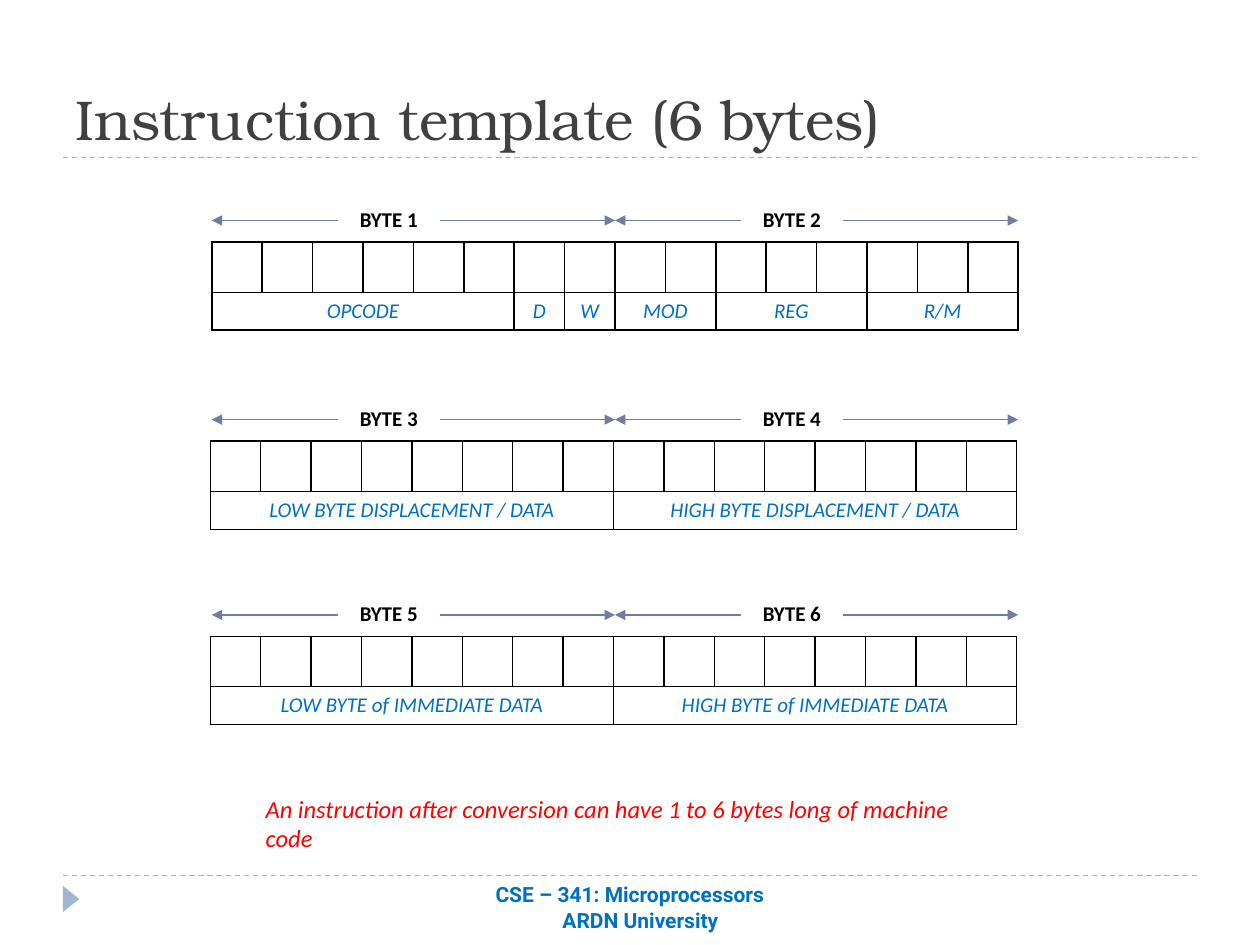
import pptx
import pptx.util
import pptx.dml.color
import pptx.enum.dml
import pptx.enum.shapes
import pptx.enum.text
import pptx.oxml.ns
import lxml.etree

Pt = pptx.util.Pt
qn = pptx.oxml.ns.qn
ALIGN = pptx.enum.text.PP_ALIGN
ANCHOR = pptx.enum.text.MSO_ANCHOR
SHAPE = pptx.enum.shapes.MSO_SHAPE

TITLE = "Instruction template (6 bytes)"
NOTE = "An instruction after conversion can have 1 to 6 bytes long of machine code"
FOOTER = ["CSE – 341: Microprocessors", "ARDN University"]
WORDS = [
    {"left": 121, "top": 138.2, "bytes": ["BYTE 1", "BYTE 2"],
     "fields": [("OPCODE", 6), ("D", 1), ("W", 1), ("MOD", 2), ("REG", 3), ("R/M", 3)]},
    {"left": 120.2, "top": 252, "bytes": ["BYTE 3", "BYTE 4"],
     "fields": [("LOW BYTE DISPLACEMENT / DATA", 8), ("HIGH BYTE DISPLACEMENT / DATA", 8)]},
    {"left": 120.2, "top": 363.6, "bytes": ["BYTE 5", "BYTE 6"],
     "fields": [("LOW BYTE of IMMEDIATE DATA", 8), ("HIGH BYTE of IMMEDIATE DATA", 8)]},
]
COLORS = {"title": "404040", "rule": "9FB8CD", "arrow": "727CA3", "field": "0070C0",
          "note": "FF0000", "ink": "000000", "paper": "FFFFFF"}
BIT = 28.8
BITS = 16
BYTE = 8 * BIT
ROWS = [28.8, 21.6]
ARROW_LEFT = 121


def color(name):
    return pptx.dml.color.RGBColor.from_string(COLORS[name])


def write(frame, lines, font, size, tint, align=ALIGN.LEFT, bold=False, italic=False):
    for number, line in enumerate(lines):
        paragraph = frame.add_paragraph() if number else frame.paragraphs[0]
        paragraph.text = line
        paragraph.alignment = align
        paragraph.font.name = font
        paragraph.font.size = Pt(size)
        paragraph.font.bold = bold
        paragraph.font.italic = italic
        paragraph.font.color.rgb = color(tint)


def add_text(slide, box, lines, *style, anchor=ANCHOR.TOP, **options):
    frame = slide.shapes.add_textbox(*map(Pt, box)).text_frame
    frame.word_wrap = True
    frame.vertical_anchor = anchor
    write(frame, lines, *style, **options)
    return frame


def add_line(slide, left, right, y, tint):
    line = slide.shapes.add_connector(
        pptx.enum.shapes.MSO_CONNECTOR.STRAIGHT, Pt(left), Pt(y), Pt(right), Pt(y))
    line.line.color.rgb = color(tint)
    line.line.width = Pt(0.75)
    lxml.etree.SubElement(line._element.spPr, qn("a:effectLst"))
    return line


def add_shape(slide, kind, box, tint):
    shape = slide.shapes.add_shape(kind, *map(Pt, box))
    shape.shadow.inherit = False
    shape.fill.solid()
    shape.fill.fore_color.rgb = color(tint)
    shape.line.fill.background()
    return shape


def style_cell(cell):
    properties = cell._tc.get_or_add_tcPr()
    for side in ("a:lnL", "a:lnR", "a:lnT", "a:lnB"):
        border = lxml.etree.SubElement(properties, qn(side), w=str(Pt(1)))
        fill = lxml.etree.SubElement(border, qn("a:solidFill"))
        lxml.etree.SubElement(fill, qn("a:srgbClr"), val=COLORS["ink"])
    cell.fill.solid()
    cell.fill.fore_color.rgb = color("paper")


def add_bit_table(slide, word):
    table = slide.shapes.add_table(
        2, BITS, Pt(word["left"]), Pt(word["top"]), Pt(BITS * BIT), Pt(sum(ROWS))).table
    table.first_row = False
    table.horz_banding = False
    for column in table.columns:
        column.width = Pt(BIT)
    for row, height in zip(table.rows, ROWS):
        row.height = Pt(height)
    for cell in table.iter_cells():
        style_cell(cell)
    start = 0
    for label, width in word["fields"]:
        cell = table.cell(1, start)
        if width > 1:
            cell.merge(table.cell(1, start + width - 1))
        write(cell.text_frame, [label], "Calibri", 12, "field", ALIGN.CENTER, italic=True)
        start += width


def add_byte_span(slide, label, left, y):
    arrow = add_line(slide, left, left + BYTE, y, "arrow")
    outline = arrow.line._get_or_add_ln()
    for end in ("a:headEnd", "a:tailEnd"):
        lxml.etree.SubElement(outline, qn(end), type="triangle")
    plate = add_shape(slide, SHAPE.RECTANGLE, (left + 72, y - 11.8, 58.3, 21.6), "paper")
    plate.text_frame.word_wrap = False
    write(plate.text_frame, [label], "Calibri", 12, "ink", ALIGN.CENTER, bold=True)


def main():
    deck = pptx.Presentation()
    deck.slide_width, deck.slide_height = Pt(720), Pt(540)
    slide = deck.slides.add_slide(deck.slide_layouts[6])

    for y in (500.4, 90):
        rule = add_line(slide, 36, 684, y, "rule")
        rule.line.dash_style = pptx.enum.dml.MSO_LINE.DASH
    marker = add_shape(slide, SHAPE.ISOSCELES_TRIANGLE, (33.1, 509, 15, 9.4), "rule")
    marker.rotation = 90

    add_text(slide, (36, 12.2, 648, 77.8), [TITLE], "TeX Gyre Bonum", 32, "title",
             anchor=ANCHOR.BOTTOM)
    for word in WORDS:
        add_bit_table(slide, word)
        for number, label in enumerate(word["bytes"]):
            add_byte_span(slide, label, ARROW_LEFT + number * BYTE, word["top"] - 12.2)

    footer = add_text(slide, (180, 500.4, 360, 28.8), FOOTER, "Roboto", 12, "field",
                      ALIGN.CENTER, bold=True)
    footer.paragraphs[1]._p.get_or_add_pPr().set("marL", str(Pt(12)))
    add_text(slide, (144.7, 450, 411, 24.5), [NOTE], "Calibri", 14, "note", italic=True)
    deck.save("out.pptx")


if __name__ == "__main__":
    main()
